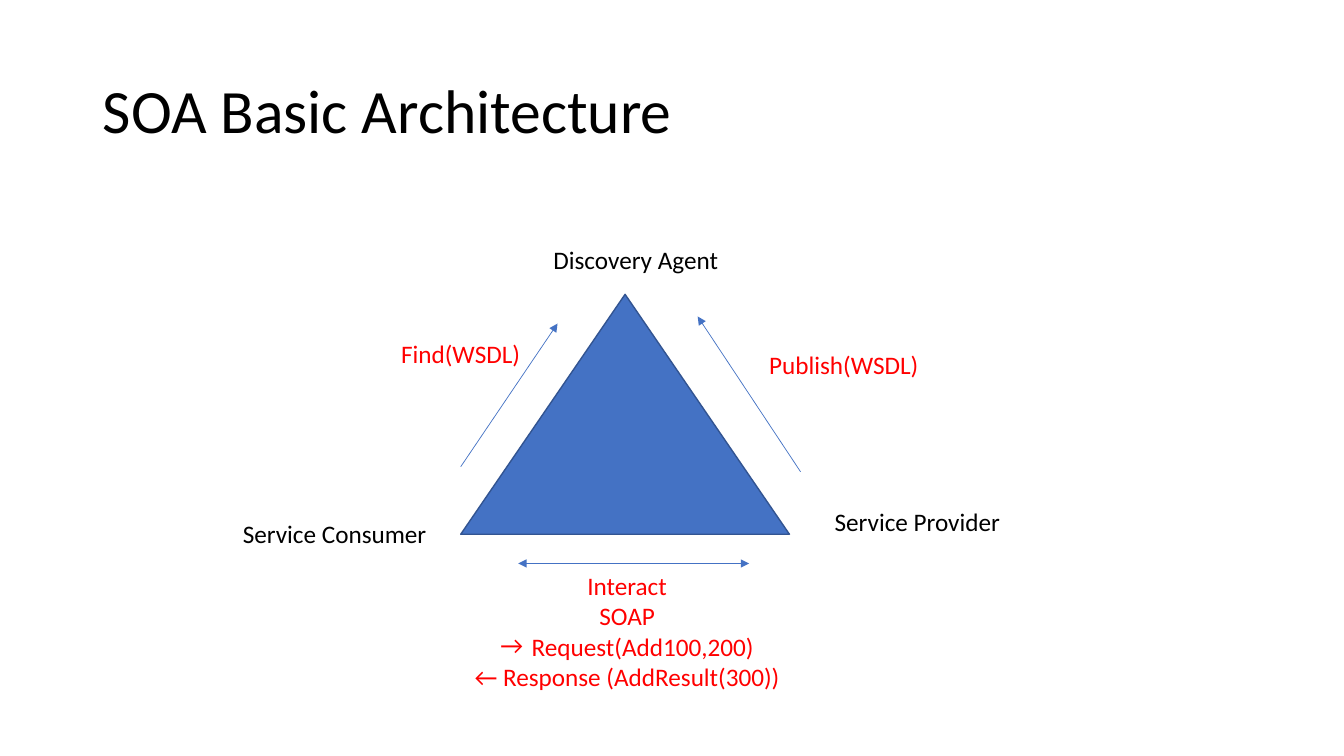
from dataclasses import dataclass

from lxml import etree
from pptx import Presentation
from pptx.dml.color import RGBColor
from pptx.enum.shapes import MSO_CONNECTOR, MSO_SHAPE
from pptx.enum.text import MSO_ANCHOR, MSO_AUTO_SIZE, PP_ALIGN
from pptx.oxml.ns import qn
from pptx.util import Inches, Pt

TITLE_ONLY_LAYOUT = 5
TRIANGLE = MSO_SHAPE.ISOSCELES_TRIANGLE
STRAIGHT = MSO_CONNECTOR.STRAIGHT
LEFT, CENTER = PP_ALIGN.LEFT, PP_ALIGN.CENTER
MIDDLE = MSO_ANCHOR.MIDDLE
NO_AUTOFIT, GROW_TO_FIT = MSO_AUTO_SIZE.NONE, MSO_AUTO_SIZE.SHAPE_TO_FIT_TEXT


@dataclass(frozen=True)
class Theme:
    font: str = "Calibri"
    title_size: int = 44
    label_size: int = 18
    text: str = "000000"
    message: str = "FF0000"
    accent: str = "4472C4"
    outline: str = "325491"


@dataclass(frozen=True)
class Label:
    lines: tuple[str, ...]
    box: tuple[float, float, float, float]
    color: str
    alignment: PP_ALIGN = LEFT


@dataclass(frozen=True)
class Arrow:
    start: tuple[float, float]
    end: tuple[float, float]
    ends: tuple[str, ...] = ("tailEnd",)


THEME = Theme()
BULLET = "→"

LABELS = (
    # Roles at the corners
    Label(("Discovery Agent",), (5.39, 2.37, 1.85, 0.4), THEME.text),
    Label(("Service Consumer",), (2.31, 5.09, 2.04, 0.4), THEME.text),
    Label(("Service Provider",), (8.18, 4.97, 1.86, 0.4), THEME.text),
    # Messages along the sides
    Label(("Publish(WSDL)",), (7.53, 3.42, 1.7, 0.4), THEME.message),
    Label(("Find(WSDL)",), (3.88, 3.31, 1.4, 0.4), THEME.message),
    Label(
        ("Interact", "SOAP", "→Request(Add100,200)", "← Response (AddResult(300))"),
        (4.58, 5.61, 3.28, 1.31), THEME.message, CENTER,
    ),
)

ARROWS = (
    Arrow((4.57, 4.63), (5.53, 3.21)),
    Arrow((7.94, 4.68), (6.92, 3.14)),
    Arrow((5.14, 5.59), (7.43, 5.59), ("headEnd", "tailEnd")),
)


def apply_format(target, values: dict) -> None:
    for name, value in values.items():
        setattr(target, name, value)


def format_text(paragraph, size: int, color: str, alignment: PP_ALIGN) -> None:
    paragraph.alignment = alignment
    apply_format(paragraph.font, {"name": THEME.font, "size": Pt(size)})
    paragraph.font.color.rgb = RGBColor.from_string(color)


def add_bullet(paragraph) -> None:
    properties = paragraph._p.get_or_add_pPr()
    indent = Inches(0.31)
    properties.set("marL", str(indent))
    properties.set("indent", str(-indent))
    etree.SubElement(properties, qn("a:buFont"), typeface=THEME.font)
    etree.SubElement(properties, qn("a:buChar"), char=BULLET)


def set_title(slide, text: str) -> None:
    title = slide.shapes.title
    apply_format(title, {
        "left": Inches(0.92), "top": Inches(0.4),
        "width": Inches(11.5), "height": Inches(1.45),
    })
    frame = title.text_frame
    apply_format(frame, {
        "text": text, "vertical_anchor": MIDDLE,
        "auto_size": NO_AUTOFIT, "word_wrap": True,
    })
    paragraph = frame.paragraphs[0]
    paragraph.line_spacing = 0.9
    format_text(paragraph, THEME.title_size, THEME.text, LEFT)


def add_triangle(slide) -> None:
    shape = slide.shapes.add_shape(
        TRIANGLE, Inches(4.57), Inches(2.92), Inches(3.26), Inches(2.38))
    shape.shadow.inherit = False
    shape.fill.solid()
    shape.fill.fore_color.rgb = RGBColor.from_string(THEME.accent)
    shape.line.color.rgb = RGBColor.from_string(THEME.outline)
    shape.line.width = Pt(1)


def add_label(slide, label: Label) -> None:
    frame = slide.shapes.add_textbox(*map(Inches, label.box)).text_frame
    apply_format(frame, {"word_wrap": False, "auto_size": GROW_TO_FIT})
    for index, line in enumerate(label.lines):
        paragraph = frame.add_paragraph() if index else frame.paragraphs[0]
        paragraph.text = line.removeprefix(BULLET)
        format_text(paragraph, THEME.label_size, label.color, label.alignment)
        if line.startswith(BULLET):
            add_bullet(paragraph)


def add_arrow(slide, arrow: Arrow) -> None:
    connector = slide.shapes.add_connector(
        STRAIGHT, *map(Inches, arrow.start + arrow.end))
    connector.line.color.rgb = RGBColor.from_string(THEME.accent)
    connector.line.width = Pt(0.5)
    line = connector.line._get_or_add_ln()
    for end in arrow.ends:
        etree.SubElement(line, qn(f"a:{end}"), type="triangle")
    etree.SubElement(connector._element.spPr, qn("a:effectLst"))


def main() -> None:
    presentation = Presentation()
    apply_format(presentation, {
        "slide_width": Inches(13.33), "slide_height": Inches(7.5)})
    slide = presentation.slides.add_slide(
        presentation.slide_layouts[TITLE_ONLY_LAYOUT])

    set_title(slide, "SOA Basic Architecture")
    add_triangle(slide)
    for arrow in ARROWS:
        add_arrow(slide, arrow)
    for label in LABELS:
        add_label(slide, label)

    presentation.save("out.pptx")


if __name__ == "__main__":
    main()
